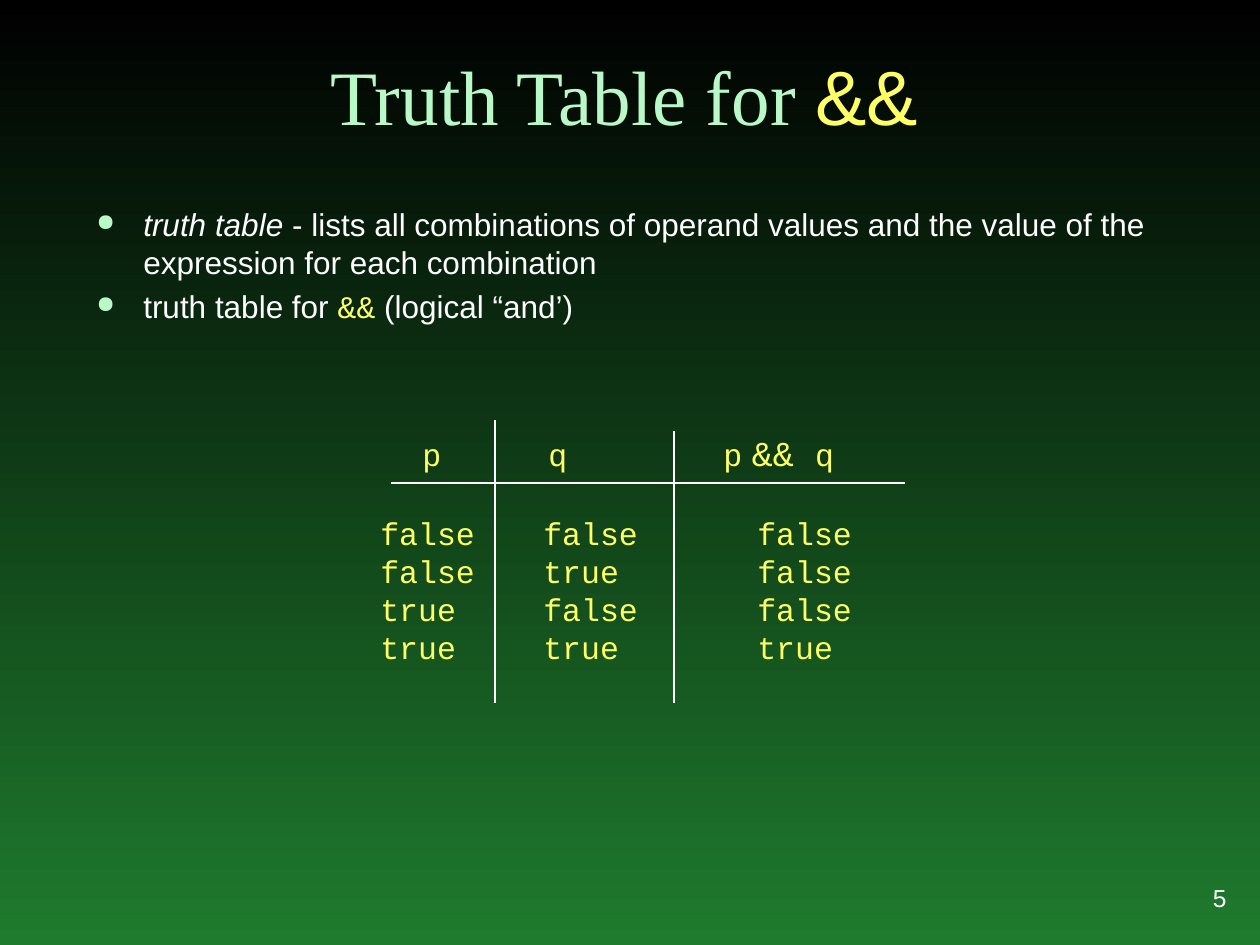
from lxml import etree
from pptx import Presentation
from pptx.dml.color import RGBColor
from pptx.enum.shapes import MSO_CONNECTOR
from pptx.enum.text import MSO_ANCHOR, MSO_AUTO_SIZE, PP_ALIGN
from pptx.oxml.ns import qn
from pptx.util import Pt

PX = 914400 / 126
STRAIGHT = MSO_CONNECTOR.STRAIGHT
LEFT, CENTER, RIGHT = PP_ALIGN.LEFT, PP_ALIGN.CENTER, PP_ALIGN.RIGHT
TOP, MIDDLE, BOTTOM = MSO_ANCHOR.TOP, MSO_ANCHOR.MIDDLE, MSO_ANCHOR.BOTTOM
NO_FIT = MSO_AUTO_SIZE.NONE

COLORS = {"top": "000000", "bottom": "1F7B2E", "mint": "B9F9C8",
          "yellow": "FFFF66", "white": "FFFFFF"}
CODE = {"font": "Courier New", "color": "yellow"}
BIG_CODE = {**CODE, "size": 20}

TITLE = [[("Truth Table for ", {"font": "Times New Roman", "color": "mint"}),
          ("&&", {"color": "yellow"})]]
BULLETS = [
    [("truth table ", {"italic": True}),
     ("- lists all combinations of operand values and the value of the "
      "expression for each combination", {})],
    [("truth table for ", {}), ("&&", CODE), (" (logical “and’)", {})],
]
HEADER = [[("p\tq\tp", CODE), (" ", {"size": 20}), ("&& ", BIG_CODE), ("q", CODE)]]
VALUES = [("false", "false", "false"), ("false", "true", "false"),
          ("true", "false", "false"), ("true", "true", "true")]
ROWS = [[("\t".join(row), CODE)] for row in VALUES]
NUMBER = [[("5", {})]]
RULES = [(391, 483, 905, 483), (495, 420, 495, 703), (674, 431, 674, 703)]


def emu(*lengths):
    return [round(n * PX) for n in lengths]


def rgb(name):
    return RGBColor.from_string(COLORS[name])


def write(sp, paragraphs, size=18, align=LEFT, anchor=TOP, bullet=False, tabs=()):
    tf = sp.text_frame
    tf.word_wrap = True
    tf.auto_size = NO_FIT
    tf.vertical_anchor = anchor
    for i, runs in enumerate(paragraphs):
        p = tf.add_paragraph() if i else tf.paragraphs[0]
        p.alignment = align
        pPr = p._p.get_or_add_pPr()
        if bullet:
            p.space_before = Pt(3.6)
            indent, = emu(47)
            pPr.set("marL", str(indent))
            pPr.set("indent", str(-indent))
            color = etree.SubElement(pPr, qn("a:buClr"))
            etree.SubElement(color, qn("a:srgbClr"), val=COLORS["mint"])
            etree.SubElement(pPr, qn("a:buSzPct"), val="75000")
            etree.SubElement(pPr, qn("a:buChar"), char="●")
        if tabs:
            stops = etree.SubElement(pPr, qn("a:tabLst"))
            for pos in emu(*tabs):
                etree.SubElement(stops, qn("a:tab"), pos=str(pos), algn="l")
        for text, fmt in runs:
            r = p.add_run()
            r.text = text
            r.font.name = fmt.get("font", "Arial")
            r.font.size = Pt(fmt.get("size", size))
            r.font.italic = fmt.get("italic", False)
            r.font.color.rgb = rgb(fmt.get("color", "white"))


def add_text(shapes, box, paragraphs, **fmt):
    write(shapes.add_textbox(*emu(*box)), paragraphs, **fmt)


def add_rule(shapes, ends):
    line = shapes.add_connector(STRAIGHT, *emu(*ends))
    line.line.color.rgb = rgb("white")
    line.line.width = Pt(1)
    etree.SubElement(line._element.spPr, qn("a:effectLst"))


prs = Presentation()
prs.slide_width, prs.slide_height = emu(1260, 945)
s = prs.slides.add_slide(prs.slide_layouts[5])

fill = s.background.fill
fill.gradient()
fill.gradient_angle = 270
for stop, name in zip(fill.gradient_stops, ("top", "bottom")):
    stop.color.rgb = rgb(name)

title = s.shapes.title
title.left, title.top, title.width, title.height = emu(84, 32, 1081, 115)
write(title, TITLE, size=44, align=CENTER, anchor=BOTTOM)

add_text(s.shapes, (84, 199, 1081, 640), BULLETS, bullet=True)

table = s.shapes.add_group_shape().shapes
for ends in RULES:
    add_rule(table, ends)
add_text(table, (410, 425, 452, 55), HEADER, tabs=(126, 301))
add_text(table, (368, 508, 503, 165), ROWS, tabs=(163, 377))

add_text(s.shapes, (1071, 861, 168, 73), NUMBER, size=14, align=RIGHT, anchor=MIDDLE)

prs.save("out.pptx")
